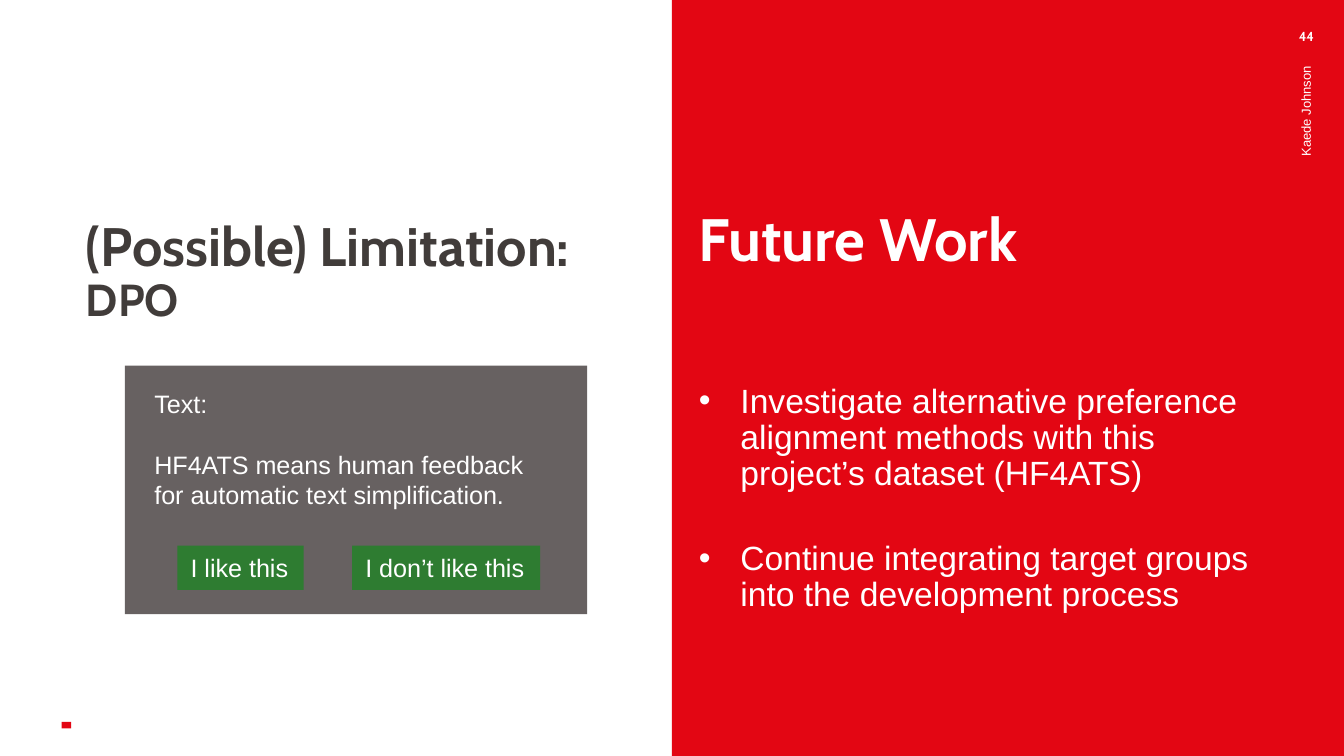
from lxml.etree import SubElement
from pptx import Presentation
from pptx.dml.color import RGBColor
from pptx.enum.shapes import MSO_SHAPE
from pptx.enum.text import MSO_ANCHOR, PP_ALIGN
from pptx.oxml.ns import qn
from pptx.util import Inches, Pt

COLORS = {
    "red": "E30613",
    "white": "FFFFFF",
    "ink": "413C3A",
    "card": "676161",
    "button": "2E7C31",
}
CELL = 0.1
COLUMNS, ROWS = 100, 56.25
HALF = COLUMNS / 2
TITLE_INSETS = (0.2, 0, 0.08, 0.05)


def inside(box, left, top, width, height):
    """Return a box in slide cells from an offset and size within another box."""
    return box[0] + left, box[1] + top, width, height


def lengths(box):
    """Turn a box in cells into slide lengths."""
    return [Inches(value * CELL) for value in box]


def add_block(page, box, color, rotation=0):
    """Add a plain filled rectangle."""
    block = page.shapes.add_shape(MSO_SHAPE.RECTANGLE, *lengths(box))
    block.shadow.inherit = False
    block.fill.solid()
    block.fill.fore_color.rgb = RGBColor.from_string(COLORS[color])
    block.line.fill.background()
    block.rotation = rotation
    return block


def set_frame(shape, insets=(0.1, 0.05, 0.1, 0.05), anchor=MSO_ANCHOR.TOP, wrap=True):
    """Set the margins, anchor and wrapping of a shape's text and return its frame."""
    frame = shape.text_frame
    frame.word_wrap = wrap
    frame.vertical_anchor = anchor
    frame.margin_left, frame.margin_top, frame.margin_right, frame.margin_bottom = map(Inches, insets)
    return frame


def add_frame(page, box, rotation=0, **layout):
    """Add a text box and return its frame."""
    shape = page.shapes.add_textbox(*lengths(box))
    shape.rotation = rotation
    return set_frame(shape, **layout)


def write(frame, text, size, font="Arial", color="white", bold=False,
          align=PP_ALIGN.LEFT, spacing=1.0, before=0, bullet_indent=0):
    """Write one formatted paragraph into a frame."""
    first = frame.paragraphs[0]
    para = frame.add_paragraph() if first.runs else first
    para.alignment = align
    para.line_spacing = spacing
    para.space_before = Pt(before)
    if bullet_indent:
        properties = para._p.get_or_add_pPr()
        properties.set("marL", str(Inches(bullet_indent)))
        properties.set("indent", str(-Inches(bullet_indent)))
        SubElement(properties, qn("a:buFont"), typeface="Arial")
        SubElement(properties, qn("a:buChar"), char="•")
    span = para.add_run()
    span.text = text
    span.font.name = font
    span.font.size = Pt(size)
    span.font.bold = bold
    span.font.color.rgb = RGBColor.from_string(COLORS[color])


def add_feedback_card(page, box):
    """Draw the sample text with its two preference buttons."""
    add_block(page, box, "card")
    sample = add_frame(page, inside(box, 1.2, 1.2, 32.1, 10.1))
    write(sample, "Text:", 13.5)
    write(sample, "HF4ATS means human feedback for automatic text simplification.", 13.5, before=16.5)
    for label, left, width in (("I like this", 3.9, 9.4), ("I don’t like this", 16.9, 14)):
        button = add_block(page, inside(box, left, 13.4, width, 3.3), "button")
        write(set_frame(button, wrap=False), label, 13.5)


def add_limitation(page, box):
    """Fill the white half with its title, card and corner mark."""
    add_block(page, inside(box, 4.7, 53.6, 0.5, 0.7), "red", rotation=270)
    add_feedback_card(page, inside(box, 9.3, 27.2, 34.4, 18.5))
    title = add_frame(page, inside(box, 4.4, 10.5, 44.4, 19.6),
                      insets=TITLE_INSETS, anchor=MSO_ANCHOR.MIDDLE)
    write(title, "(Possible) Limitation:", 29, font="Cabin", color="ink", bold=True)
    write(title, "DPO", 24, font="Cabin", color="ink", bold=True, spacing=0.9)


def add_future_work(page, box):
    """Fill the red half with its title and bullets."""
    add_block(page, box, "red")
    title = add_frame(page, inside(box, 0, 8.5, 44.4, 19.6),
                      insets=TITLE_INSETS, anchor=MSO_ANCHOR.MIDDLE)
    write(title, "Future Work", 32, font="Cabin", bold=True, spacing=0.9)
    body = add_frame(page, inside(box, 0, 28.1, 44.4, 23.6), insets=(0.2, 0.05, 0.1, 0.05))
    goals = (
        "Investigate alternative preference alignment methods with this project’s dataset (HF4ATS)",
        "Continue integrating target groups into the development process",
    )
    for index, goal in enumerate(goals):
        write(body, goal, 18, spacing=0.9, before=26 * index, bullet_indent=0.31)


def add_margin(page, box):
    """Add the page number and the upright author name."""
    name = add_frame(page, inside(box, -16.6, 20.5, 38.7, 5.6), rotation=270, anchor=MSO_ANCHOR.MIDDLE)
    write(name, "Kaede Johnson", 7, align=PP_ALIGN.RIGHT)
    number = add_frame(page, inside(box, 0, 2.1, 5.6, 1.8), insets=(0.1, 0, 0.1, 0))
    write(number, "44", 7, font="Cabin", bold=True, align=PP_ALIGN.CENTER)


def main():
    """Build the slide and save it."""
    deck = Presentation()
    deck.slide_width = Inches(COLUMNS * CELL)
    deck.slide_height = Inches(ROWS * CELL)
    page = deck.slides.add_slide(deck.slide_layouts[6])
    add_limitation(page, (0, 0, HALF, ROWS))
    add_future_work(page, (HALF, 0, HALF, ROWS))
    add_margin(page, (94.4, 0, 5.6, ROWS))
    deck.save("out.pptx")


if __name__ == "__main__":
    main()
